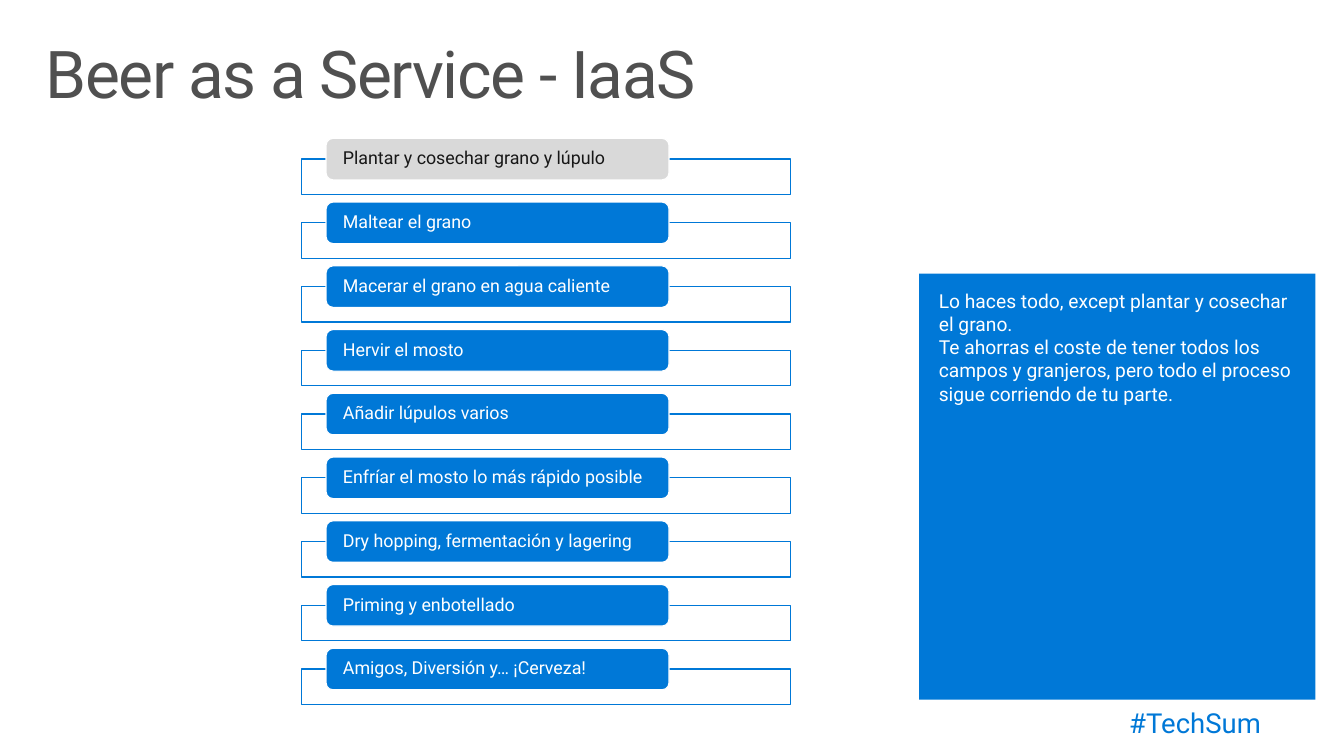
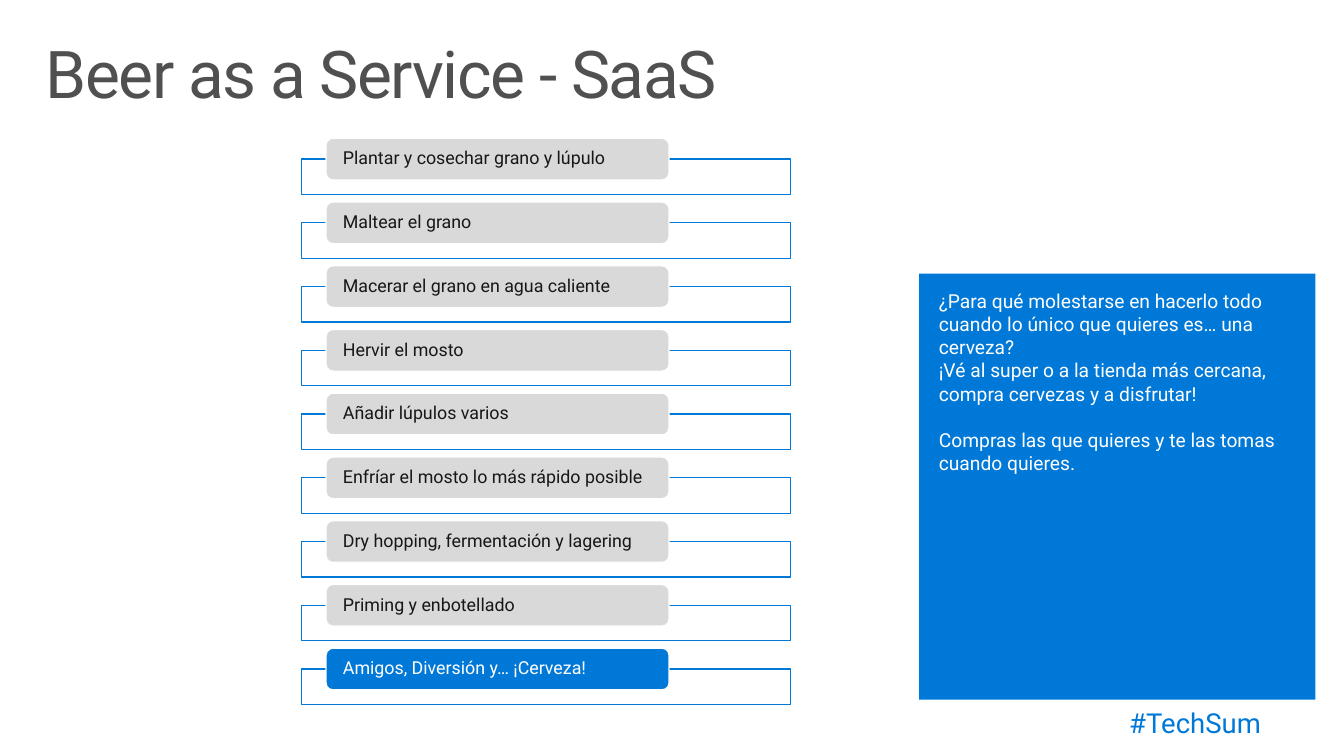
import pptx
import pptx.util
import pptx.dml.color
import pptx.enum.shapes
import pptx.enum.text
import pptx.oxml.ns
from lxml import etree

COLUMNS, ROWS = 136, 76.5
SLIDE_WIDTH, SLIDE_HEIGHT = pptx.util.Inches(13.6), pptx.util.Inches(7.65)
FONT = "Roboto"
COLORS = {
    "blue": "0078D7",
    "gray": "D9D9D9",
    "white": "FFFFFF",
    "ink": "171717",
    "title": "505050",
}
SHAPES = pptx.enum.shapes.MSO_SHAPE
ALIGN = pptx.enum.text.PP_ALIGN
ANCHOR = pptx.enum.text.MSO_ANCHOR

STEPS = [
    "Plantar y cosechar grano y lúpulo",
    "Maltear el grano",
    "Macerar el grano en agua caliente",
    "Hervir el mosto",
    "Añadir lúpulos varios",
    "Enfríar el mosto lo más rápido posible",
    "Dry hopping, fermentación y lagering",
    "Priming y enbotellado",
    "Amigos, Diversión y… ¡Cerveza!",
]
FIRST_STEP_ROW = 14
STEP_PITCH = 6.45

MODELS = [
    {
        "title": "Beer as a Service - IaaS",
        "delegated": 1,
        "summary": [
            ("Lo haces todo, except plantar y cosechar el grano.", 0),
            ("Te ahorras el coste de tener todos los campos y granjeros, "
             "pero todo el proceso sigue corriendo de tu parte.", 0),
        ],
    },
    {
        "title": "Beer as a Service - SaaS",
        "delegated": 8,
        "summary": [
            ("¿Para qué molestarse en hacerlo todo cuando lo único que "
             "quieres es… una cerveza?", 0),
            ("¡Vé al super o a la tienda más cercana, compra cervezas "
             "y a disfrutar!", 0),
            ("Compras las que quieres y te las tomas cuando quieres.", 16.8),
        ],
    },
]


def across(columns):
    return round(SLIDE_WIDTH * columns / COLUMNS)


def down(rows):
    return round(SLIDE_HEIGHT * rows / ROWS)


def area(column, row, columns, rows):
    return across(column), down(row), across(columns), down(rows)


def rgb(name):
    return pptx.dml.color.RGBColor.from_string(COLORS[name])


def set_frame(frame, side, edge, anchor=ANCHOR.TOP):
    frame.word_wrap = True
    frame.auto_size = pptx.enum.text.MSO_AUTO_SIZE.NONE
    frame.vertical_anchor = anchor
    frame.margin_left = frame.margin_right = across(side)
    frame.margin_top = frame.margin_bottom = down(edge)


def style(paragraph, size, color, align=ALIGN.LEFT, spacing=0.9):
    paragraph.alignment = align
    paragraph.line_spacing = spacing
    paragraph.font.name = FONT
    paragraph.font.size = pptx.util.Pt(size)
    paragraph.font.color.rgb = rgb(color)


def add_block(slide, kind, place, fill, line=None):
    block = slide.shapes.add_shape(kind, *place)
    block.shadow.inherit = False
    block.fill.solid()
    block.fill.fore_color.rgb = rgb(fill)
    if line:
        block.line.color.rgb = rgb(line)
        block.line.width = pptx.util.Pt(0.85)
    else:
        block.line.fill.background()
    return block


def set_opacity(block, percent):
    color = block.fill._xPr.find(".//" + pptx.oxml.ns.qn("a:srgbClr"))
    alpha = etree.SubElement(color, pptx.oxml.ns.qn("a:alpha"))
    alpha.set("val", str(percent * 1000))


def add_title(slide, text):
    title = slide.shapes.title
    title.left, title.top, title.width, title.height = area(3, 3.2, 130, 10)
    set_frame(title.text_frame, 1.6, 1)
    title.text_frame.text = text
    heading = title.text_frame.paragraphs[0]
    style(heading, 48, "title")
    heading.runs[0]._r.get_or_add_rPr().set("spc", "-100")


def add_hashtag(slide):
    hashtag = slide.shapes.add_textbox(*area(89.7, 70.2, 39.9, 6.3))
    set_frame(hashtag.text_frame, 2, 1.6)
    hashtag.text_frame.text = "#TechSum"
    style(hashtag.text_frame.paragraphs[0], 20, "blue", ALIGN.RIGHT)


def add_step(slide, index, text, delegated):
    row = FIRST_STEP_ROW + index * STEP_PITCH
    tray = add_block(slide, SHAPES.RECTANGLE,
                     area(30.5, row + 2.1, 49.5, 3.6), "white", "blue")
    set_opacity(tray, 90)
    fill, ink = ("gray", "ink") if delegated else ("blue", "white")
    label = add_block(slide, SHAPES.ROUNDED_RECTANGLE,
                      area(33, row, 34.7, 4.2), fill, "white")
    set_frame(label.text_frame, 1.5, 0, ANCHOR.MIDDLE)
    label.text_frame.text = text
    style(label.text_frame.paragraphs[0], 13, ink)


def add_summary(slide, sentences):
    panel = add_block(slide, SHAPES.RECTANGLE,
                      area(93, 27.7, 40.1, 43.1), "blue")
    set_frame(panel.text_frame, 2, 1.6)
    panel.text_frame.text = "\n".join(text for text, _ in sentences)
    for paragraph, (_, gap) in zip(panel.text_frame.paragraphs, sentences):
        style(paragraph, 14, "white", spacing=1.0)
        if gap:
            paragraph.space_before = pptx.util.Pt(gap)


def add_model(deck, model):
    slide = deck.slides.add_slide(deck.slide_layouts.get_by_name("Title Only"))
    add_hashtag(slide)
    add_title(slide, model["title"])
    for index, step in enumerate(STEPS):
        add_step(slide, index, step, index < model["delegated"])
    add_summary(slide, model["summary"])


def main():
    deck = pptx.Presentation()
    deck.slide_width, deck.slide_height = SLIDE_WIDTH, SLIDE_HEIGHT
    for model in MODELS:
        add_model(deck, model)
    deck.save("out.pptx")


if __name__ == "__main__":
    main()
